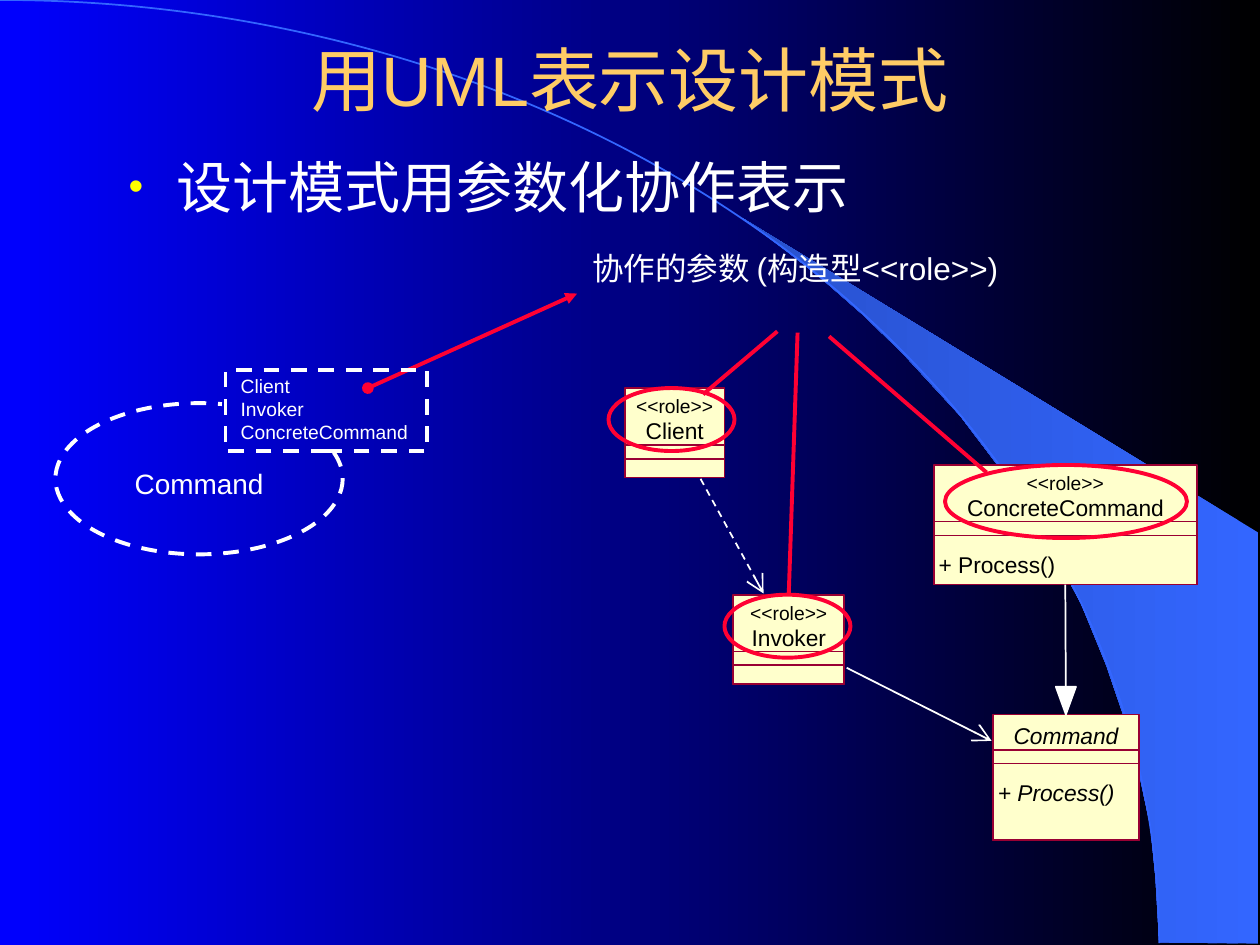
from pptx import Presentation
from pptx.dml.color import RGBColor
from pptx.enum import dml, shapes, text
from pptx.oxml.ns import qn
from pptx.util import Inches, Pt
from lxml import etree

BLACK = RGBColor(0, 0, 0)
WHITE = RGBColor(255, 255, 255)
BLUE = RGBColor(0, 0, 255)
SKY = RGBColor(0x33, 0x66, 0xFF)
DEEP_SKY = RGBColor(0x28, 0x51, 0xCC)
GOLD = RGBColor(0xFF, 0xCC, 0x66)
CREAM = RGBColor(0xFF, 0xFF, 0xCC)
MAROON = RGBColor(0x99, 0, 0x33)
RED = RGBColor(0xFF, 0, 0x33)

CRESCENT = [(9.2, 7.48), (9.99, 7.49), (9.99, 4.23), (5.89, 1.73), (6.24, 1.99),
            (6.53, 2.22), (6.85, 2.5), (7.16, 2.8), (7.62, 3.3), (8.03, 3.84),
            (8.32, 4.31), (8.58, 4.79), (8.78, 5.28), (8.93, 5.72), (9.03, 6.09),
            (9.13, 6.56), (9.17, 6.96), (9.2, 7.48)]


def inches(*values):
    return [Inches(value) for value in values]


def paint_gradient(fill, first, last):
    fill.gradient()
    fill.gradient_angle = 180
    for stop, color in zip(fill.gradient_stops, (first, last)):
        stop.color.rgb = color


def set_line(line, color, width, dashed=False):
    line.color.rgb = color
    line.width = Pt(width)
    if dashed:
        line.dash_style = dml.MSO_LINE.DASH


def add_outline(slide, kind, box, color, width, fill=None, dashed=False):
    shape = slide.shapes.add_shape(kind, *inches(*box))
    shape.shadow.inherit = False
    if fill is None:
        shape.fill.background()
    else:
        shape.fill.solid()
        shape.fill.fore_color.rgb = fill
    set_line(shape.line, color, width, dashed)
    return shape


def add_run(paragraph, words, size, color, font="Arial", italic=None):
    run = paragraph.add_run()
    run.text = words
    run.font.size = Pt(size)
    run.font.name = font
    run.font.color.rgb = color
    run.font.italic = italic


def add_label(slide, box, lines, size, color, margins=(0, 0), centred=False,
              italic=None, wrap=True):
    frame = slide.shapes.add_textbox(*inches(*box)).text_frame
    frame.word_wrap = wrap
    frame.margin_left = frame.margin_right = Inches(margins[0])
    frame.margin_top = frame.margin_bottom = Inches(margins[1])
    paragraph = frame.paragraphs[0]
    if centred:
        paragraph.alignment = text.PP_ALIGN.CENTER
    for number, words in enumerate(lines):
        if number:
            paragraph.add_line_break()
        add_run(paragraph, words, size, color, italic=italic)
    return paragraph


def add_link(slide, start, end, color, width, dashed=False, head=None, tail=None):
    link = slide.shapes.add_connector(shapes.MSO_CONNECTOR.STRAIGHT,
                                      *inches(*start, *end))
    set_line(link.line, color, width, dashed)
    outline = link.line._get_or_add_ln()
    for tag, mark in (("a:headEnd", head), ("a:tailEnd", tail)):
        if mark:
            size = "lg" if mark == "arrow" else "med"
            etree.SubElement(outline, qn(tag), type=mark, w=size, len=size)
    etree.SubElement(link._element.spPr, qn("a:effectLst"))
    return link


def draw_backdrop(slide):
    paint_gradient(slide.background.fill, BLACK, BLUE)
    points = [tuple(inches(*point)) for point in CRESCENT]
    builder = slide.shapes.build_freeform(*points[0], scale=1.0)
    builder.add_line_segments(points[1:])
    crescent = builder.convert_to_shape()
    crescent.shadow.inherit = False
    paint_gradient(crescent.fill, SKY, DEEP_SKY)
    crescent.line.fill.background()
    add_outline(slide, shapes.MSO_SHAPE.ARC, (-9.2, 0, 18.4, 14.97), SKY, 1)


def place_in_front(placeholder, box):
    """Position a placeholder and lift it above everything drawn so far."""
    placeholder.left, placeholder.top, placeholder.width, placeholder.height = inches(*box)
    element = placeholder._element
    element.getparent().append(element)


def write_title(slide, box):
    title = slide.shapes.title
    place_in_front(title, box)
    title.text_frame.vertical_anchor = text.MSO_ANCHOR.MIDDLE
    paragraph = title.text_frame.paragraphs[0]
    paragraph.alignment = text.PP_ALIGN.CENTER
    add_run(paragraph, "用UML表示设计模式", 40, GOLD)


def write_body(slide, box):
    body = slide.placeholders[1]
    place_in_front(body, box)
    frame = body.text_frame
    frame.margin_left = frame.margin_right = Inches(0.12)
    frame.margin_top = frame.margin_bottom = Inches(0.06)
    paragraph = frame.paragraphs[0]
    paragraph.space_before = Pt(8)
    add_run(paragraph, "设计模式用参数化协作表示", 32, WHITE, "Times New Roman")
    properties = paragraph._p.get_or_add_pPr()
    properties.set("marL", str(Inches(0.38)))
    properties.set("indent", str(-Inches(0.38)))
    bullet_color = etree.SubElement(properties, qn("a:buClr"))
    etree.SubElement(bullet_color, qn("a:srgbClr"), val="FFFF00")
    etree.SubElement(properties, qn("a:buSzPct"), val="75000")
    etree.SubElement(properties, qn("a:buChar"), char="•")


def draw_class(slide, box, name, role=None, operation=None, italic=None):
    """Draw a UML class with name, attribute and operation compartments."""
    left, top, width, height = box
    rectangle = shapes.MSO_SHAPE.RECTANGLE
    frame = add_outline(slide, rectangle, box, MAROON, 1, CREAM)
    header = 0.45 if role else 0.28
    for offset in (header, header + 0.11):
        add_outline(slide, rectangle, (left, top + offset, width, height - offset),
                    MAROON, 1)
    if role:
        add_label(slide, (left, top + 0.05, width, 0.18), [role], 11, BLACK,
                  centred=True, wrap=False)
    add_label(slide, (left, top + header - 0.22, width, 0.22), [name], 13, BLACK,
              centred=True, italic=italic, wrap=False)
    if operation:
        add_label(slide, (left + 0.04, top + header + 0.23, 0.93, 0.22), [operation],
                  13, BLACK, italic=italic, wrap=False)
    return frame


def draw_class_diagram(slide):
    concrete = draw_class(slide, (7.41, 3.69, 2.09, 0.95), "ConcreteCommand",
                          "<<role>>", "+ Process()")
    draw_class(slide, (4.96, 3.08, 0.79, 0.71), "Client", "<<role>>")
    command = draw_class(slide, (7.88, 5.67, 1.16, 1), "Command",
                         operation="+ Process()", italic=True)
    invoker = draw_class(slide, (5.82, 4.72, 0.88, 0.71), "Invoker", "<<role>>")

    inheritance = add_link(slide, (8.46, 4.64), (8.46, 5.67), WHITE, 1)
    inheritance.begin_connect(concrete, 2)
    inheritance.end_connect(command, 0)
    add_outline(slide, shapes.MSO_SHAPE.FLOWCHART_MERGE, (8.38, 5.45, 0.16, 0.22),
                WHITE, 1, WHITE)
    add_link(slide, (6.72, 5.3), (7.87, 5.88), WHITE, 1, tail="arrow")
    add_link(slide, (5.56, 3.8), (6.06, 4.71), WHITE, 1, dashed=True, tail="arrow")

    add_link(slide, (6.17, 2.63), (5.58, 3.13), RED, 2.25)
    add_link(slide, (6.33, 2.64), (6.25, 4.72), RED, 2.25).end_connect(invoker, 0)
    add_link(slide, (6.58, 2.67), (7.83, 3.75), RED, 2.25)
    for ring in ((7.5, 3.69, 1.92, 0.58), (5.75, 4.72, 1, 0.5), (4.83, 3.08, 1, 0.5)):
        add_outline(slide, shapes.MSO_SHAPE.OVAL, ring, RED, 2.25)


def draw_collaboration(slide, box):
    """Draw the dashed collaboration, open where its parameter box covers it."""
    left, top, width, height = box
    ellipse = add_outline(slide, shapes.MSO_SHAPE.ARC, box, WHITE, 2.25, dashed=True)
    for index, degrees in enumerate((349, 287)):
        ellipse.adjustments[index] = degrees * 0.6
    add_label(slide, (left + 0.53, top + 0.45, 1.22, 0.37), ["Command"], 16, WHITE,
              (0.1, 0.05), centred=True, wrap=False)
    add_outline(slide, shapes.MSO_SHAPE.RECTANGLE, (left + 1.35, top - 0.26, 1.6, 0.64),
                WHITE, 2.25, dashed=True)
    parameters = add_label(slide, (left + 1.35, top - 0.29, 1.6, 0.67),
                           ["Client", "Invoker", "ConcreteCommand"], 11, WHITE,
                           (0.12, 0.06))
    parameters.space_before = Pt(6.9)


def main():
    deck = Presentation()
    deck.slide_width, deck.slide_height = inches(10, 7.5)
    slide = deck.slides.add_slide(deck.slide_layouts[1])
    draw_backdrop(slide)
    write_title(slide, (0.75, 0.28, 8.5, 0.68))
    write_body(slide, (0.9, 1.15, 8.76, 4.58))
    add_label(slide, (4.58, 1.92, 4.58, 0.42), ["协作的参数 (构造型<<role>>)"], 18, WHITE,
              (0.12, 0.06))
    draw_class_diagram(slide)
    add_link(slide, (4.58, 2.33), (2.92, 3.08), RED, 2.25, head="triangle", tail="oval")
    draw_collaboration(slide, (0.44, 3.2, 2.28, 1.2))
    deck.save("out.pptx")


if __name__ == "__main__":
    main()
